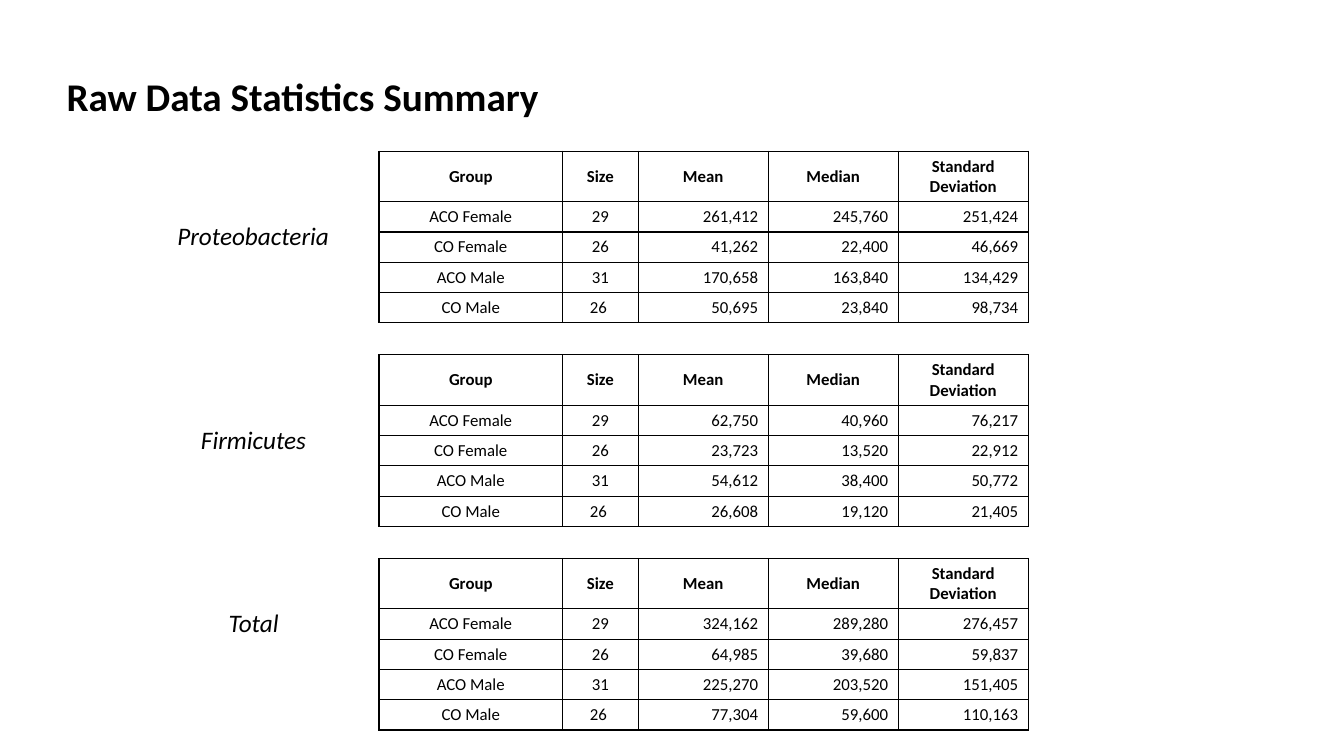
import pptx
import pptx.util
import pptx.dml.color
import pptx.enum.text
import pptx.oxml
import pptx.oxml.ns
from dataclasses import dataclass

Inches = pptx.util.Inches
Pt = pptx.util.Pt
ALIGN = pptx.enum.text.PP_ALIGN
ANCHOR = pptx.enum.text.MSO_ANCHOR


@dataclass(frozen=True)
class Theme:
    font: str = "Calibri"
    ink: str = "000000"
    title: int = 28
    label: int = 18
    cell: int = 12
    border: int = 1


THEME = Theme()

TITLE = "Raw Data Statistics Summary"
HEADER = ("Group", "Size", "Mean", "Median", "Standard Deviation")
GROUPS = (("ACO Female", "29"), ("CO Female", "26"), ("ACO Male", "31"), ("CO Male", "26 "))
SECTIONS = [
    {
        "name": "Proteobacteria", "label_top": 2.14, "label_width": 1.72,
        "stats": [
            ("261,412", "245,760", "251,424"),
            ("41,262", "22,400", "46,669"),
            ("170,658", "163,840", "134,429"),
            ("50,695", "23,840", "98,734"),
        ],
    },
    {
        "name": "Firmicutes", "label_top": 4.16, "label_width": 1.25,
        "stats": [
            ("62,750", "40,960", "76,217"),
            ("23,723", "13,520", "22,912"),
            ("54,612", "38,400", "50,772"),
            ("26,608", "19,120", "21,405"),
        ],
    },
    {
        "name": "Total", "label_top": 5.98, "label_width": 0.7,
        "stats": [
            ("324,162", "289,280", "276,457"),
            ("64,985", "39,680", "59,837"),
            ("225,270", "203,520", "151,405"),
            ("77,304", "59,600", "110,163"),
        ],
    },
]

LABEL_CENTER, LABEL_HEIGHT = 2.52, 0.4
TABLE_LEFT, TABLE_TOP, TABLE_STEP = 3.76, 1.5, 2.02
COL_WIDTHS = (1.82, 0.75, 1.29, 1.29, 1.29)
ROW_HEIGHTS = (0.5, 0.3, 0.3, 0.3, 0.3)


def write(tf, text, size, align, bold=False, italic=False):
    p = tf.paragraphs[0]
    p.alignment = align
    r = p.add_run()
    r.text = text
    r.font.name = THEME.font
    r.font.size = Pt(size)
    r.font.bold = bold
    r.font.italic = italic
    r.font.color.rgb = pptx.dml.color.RGBColor.from_string(THEME.ink)


def add_borders(cell):
    tcPr = cell._tc.get_or_add_tcPr()
    for i, side in enumerate(("lnL", "lnR", "lnT", "lnB")):
        line = pptx.oxml.parse_xml(
            f'<a:{side} {pptx.oxml.ns.nsdecls("a")} w="{Pt(THEME.border)}">'
            f'<a:solidFill><a:srgbClr val="{THEME.ink}"/></a:solidFill></a:{side}>'
        )
        tcPr.insert(i, line)


def add_title(s):
    sp = s.shapes.title
    sp.left, sp.top, sp.width, sp.height = map(Inches, (0.56, 0.67, 4.95, 0.57))
    tf = sp.text_frame
    tf.word_wrap = False
    tf.vertical_anchor = ANCHOR.TOP
    write(tf, TITLE, THEME.title, ALIGN.LEFT, bold=True)


def add_label(s, section):
    width = section["label_width"]
    box = (LABEL_CENTER - width / 2, section["label_top"], width, LABEL_HEIGHT)
    tf = s.shapes.add_textbox(*map(Inches, box)).text_frame
    tf.word_wrap = False
    write(tf, section["name"], THEME.label, ALIGN.LEFT, italic=True)


def add_stats_table(s, section, top):
    rows = [HEADER] + [g + v for g, v in zip(GROUPS, section["stats"])]
    box = (TABLE_LEFT, top, sum(COL_WIDTHS), sum(ROW_HEIGHTS))
    table = s.shapes.add_table(len(rows), len(HEADER), *map(Inches, box)).table
    table.horz_banding = False
    for column, width in zip(table.columns, COL_WIDTHS):
        column.width = Inches(width)
    for i, (row, height) in enumerate(zip(rows, ROW_HEIGHTS)):
        table.rows[i].height = Inches(height)
        for j, text in enumerate(row):
            cell = table.cell(i, j)
            cell.vertical_anchor = ANCHOR.MIDDLE
            cell.fill.background()
            add_borders(cell)
            align = ALIGN.RIGHT if i > 0 and j > 1 else ALIGN.CENTER
            write(cell.text_frame, text, THEME.cell, align, bold=i == 0)


def main():
    prs = pptx.Presentation()
    prs.slide_width, prs.slide_height = Inches(13.33), Inches(7.5)
    s = prs.slides.add_slide(prs.slide_layouts.get_by_name("Title Only"))
    add_title(s)
    for n, section in enumerate(SECTIONS):
        add_label(s, section)
        add_stats_table(s, section, TABLE_TOP + n * TABLE_STEP)
    prs.save("out.pptx")


if __name__ == "__main__":
    main()
